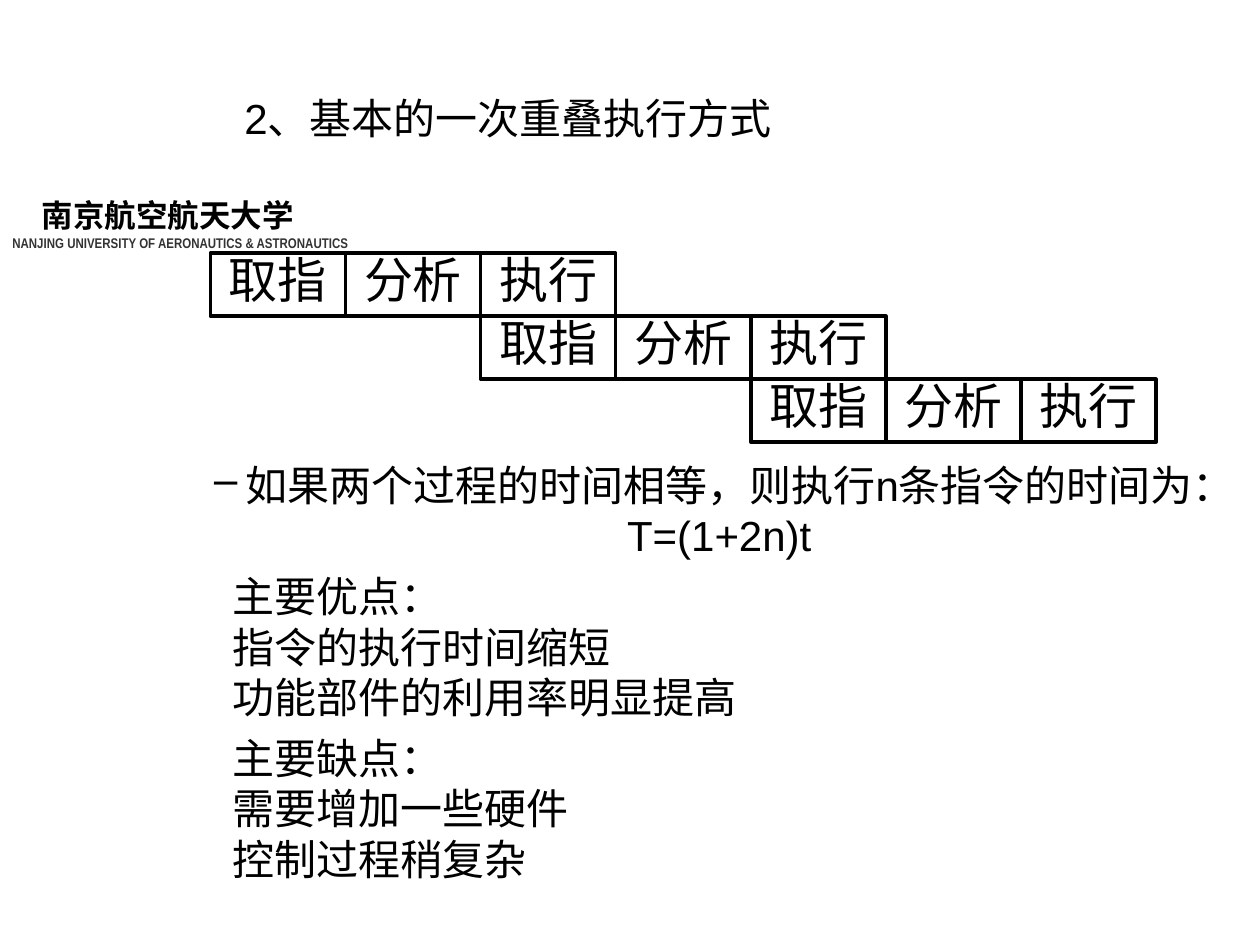
"""Build the slide on overlapped instruction execution."""
import pptx
import pptx.dml.color
import pptx.enum.shapes
import pptx.enum.text
import pptx.oxml.ns
import pptx.util
from lxml import etree

Pt = pptx.util.Pt
Align = pptx.enum.text.PP_ALIGN
Anchor = pptx.enum.text.MSO_ANCHOR


def color(value):
    return pptx.dml.color.RGBColor.from_string(value)


class SlideBuilder:
    ink = "000000"
    body_size = 24
    cell_size = 28

    def __init__(self, presentation):
        self.slide = presentation.slides.add_slide(presentation.slide_layouts[5])

    def format_paragraph(self, paragraph, size, font, ink=ink, bold=False, align=Align.LEFT):
        paragraph.alignment = align
        for run in paragraph.runs:
            run.font.size = Pt(size)
            run.font.name = font
            run.font.bold = bold
            run.font.color.rgb = color(ink)

    def indent(self, paragraph, left, first=0, bullet=None):
        properties = paragraph._p.get_or_add_pPr()
        properties.set("marL", str(Pt(left)))
        properties.set("indent", str(Pt(first)))
        if bullet:
            mark = etree.SubElement(properties, pptx.oxml.ns.qn("a:buChar"))
            mark.set("char", bullet)

    def title(self, text, left, top, width, height):
        shape = self.slide.shapes.title
        shape.left, shape.top, shape.width, shape.height = map(Pt, (left, top, width, height))
        frame = shape.text_frame
        frame.text = text
        frame.auto_size = pptx.enum.text.MSO_AUTO_SIZE.NONE
        frame.vertical_anchor = Anchor.MIDDLE
        self.format_paragraph(frame.paragraphs[0], self.body_size, "Arial")

    def text_box(self, texts, left, top, width, height):
        shape = self.slide.shapes.add_textbox(*map(Pt, (left, top, width, height)))
        frame = shape.text_frame
        frame.word_wrap = True
        frame.text = "\n".join(texts)
        return frame.paragraphs

    def cell(self, group, text, left, top, width, height):
        shape = group.shapes.add_shape(
            pptx.enum.shapes.MSO_SHAPE.RECTANGLE, *map(Pt, (left, top, width, height)))
        shape.shadow.inherit = False
        shape.fill.background()
        shape.line.color.rgb = color(self.ink)
        shape.line.width = Pt(2)
        frame = shape.text_frame
        frame.word_wrap = False
        frame.vertical_anchor = Anchor.MIDDLE
        frame.margin_left = frame.margin_right = Pt(5.76)
        frame.margin_top = frame.margin_bottom = Pt(2.88)
        frame.text = text
        frame.paragraphs[0].line_spacing = 0.8
        self.format_paragraph(frame.paragraphs[0], self.cell_size, "Cambria", align=Align.CENTER)

    def pipeline(self, stages, instructions, left, top, width, height):
        group = self.slide.shapes.add_group_shape()
        shift = len(stages) - 1
        for row in range(instructions):
            for column, stage in enumerate(stages):
                self.cell(group, stage, left + (row * shift + column) * width,
                          top + row * height, width, height)


def main():
    presentation = pptx.Presentation()
    presentation.slide_width, presentation.slide_height = Pt(720), Pt(540)
    builder = SlideBuilder(presentation)

    school, english = builder.text_box(
        ["南京航空航天大学", "NANJING UNIVERSITY OF AERONAUTICS & ASTRONAUTICS"],
        0, 108.7, 218.2, 48.2)
    builder.indent(school, 16.8)
    builder.format_paragraph(school, 18, "Arial", bold=True)
    builder.format_paragraph(english, 8, "Arial Narrow", "333333", bold=True)

    builder.title("2、基本的一次重叠执行方式", 132.5, 49, 500, 36)

    timing, *points = builder.text_box(
        ["如果两个过程的时间相等，则执行n条指令的时间为：T=(1+2n)t",
         "主要优点：\v指令的执行时间缩短\v功能部件的利用率明显提高",
         "主要缺点：\v需要增加一些硬件\v控制过程稍复杂"],
        0, 259, 696, 260)
    builder.indent(timing, 126, -18, "–")
    builder.format_paragraph(timing, builder.body_size, "Arial", align=Align.CENTER)
    for point in points:
        builder.indent(point, 126)
        point.space_before = Pt(6)
        builder.format_paragraph(point, builder.body_size, "Times New Roman")

    builder.pipeline(["取指", "分析", "执行"], 3, 120.2, 144.7, 77.2, 36)
    presentation.save("out.pptx")


if __name__ == "__main__":
    main()
